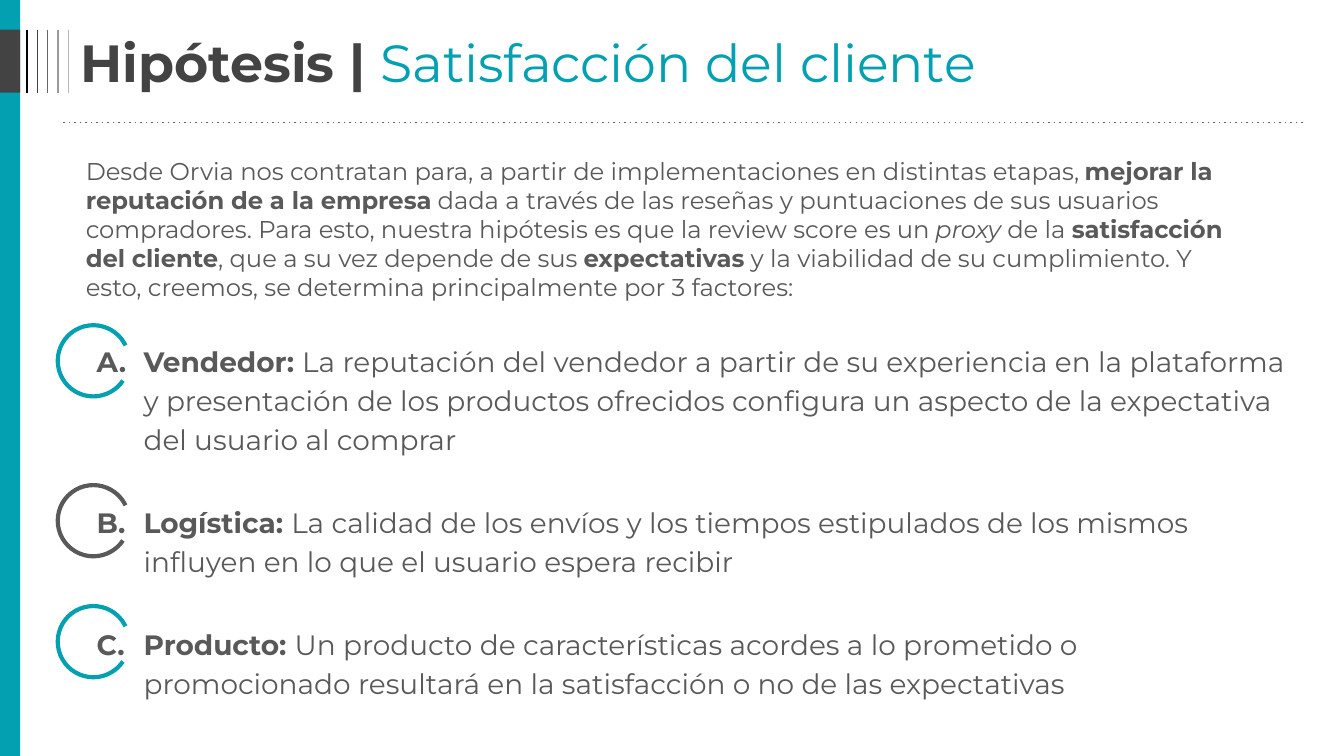
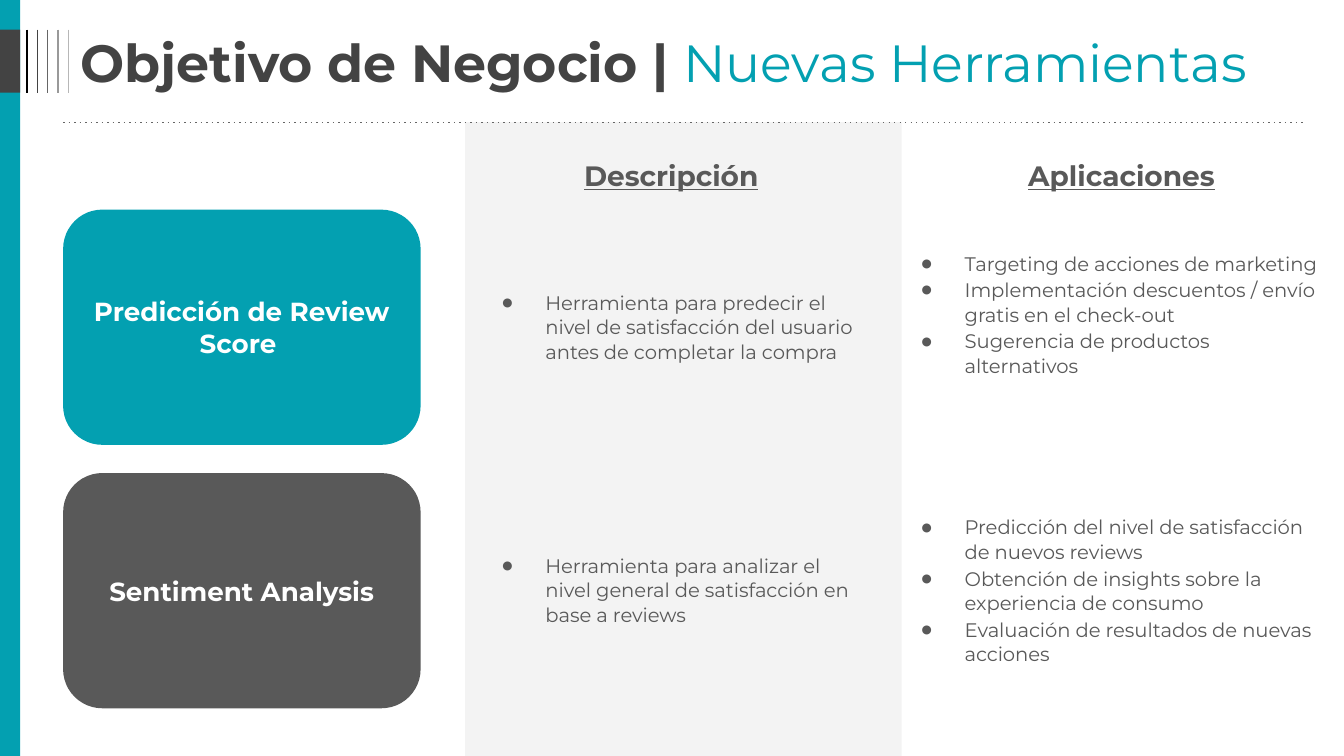
from lxml.etree import SubElement
from pptx import Presentation
from pptx.dml.color import RGBColor
from pptx.enum.shapes import MSO_CONNECTOR, MSO_SHAPE as Shape
from pptx.enum.text import MSO_ANCHOR as Anchor, MSO_AUTO_SIZE as AutoSize, PP_ALIGN as Align
from pptx.oxml.ns import qn
from pptx.util import Inches, Pt

COLORS = {
    "teal": "03A0B1", "ink": "434343", "text": "595959", "rule": "666666",
    "panel": "F3F3F3", "white": "FFFFFF",
}
STRIPES = ["000000", "434343", "666666", "999999", "B7B7B7"]
FONT = "Montserrat"
SLIDE_W = 10
SLIDE_H = SLIDE_W * 9 / 16
LEFT, CONTENT_W = 0.47, 9.24
BAND_TOP, BAND_H = 0.22, 0.47
RULE_Y = 0.91


def rgb(color):
    return RGBColor.from_string(COLORS.get(color, color))


class Deck:
    def __init__(self):
        self.prs = Presentation()
        self.prs.slide_width, self.prs.slide_height = Inches(SLIDE_W), Inches(SLIDE_H)
        self.slide = None

    def start_slide(self, topic, detail):
        self.slide = self.prs.slides.add_slide(self.prs.slide_layouts[5])
        title = self.slide.shapes.title
        title.left, title.top = Inches(LEFT), Inches(BAND_TOP)
        title.width, title.height = Inches(CONTENT_W), Inches(BAND_H)
        frame = self.set_frame(title, Anchor.MIDDLE, (0.13, 0.05, 0.1, 0.05))
        frame.paragraphs[0].alignment = Align.LEFT
        self.runs(frame.paragraphs[0], [(f"{topic} | ", "b")], 28, "ink")
        self.runs(frame.paragraphs[0], [(detail, "")], 28, "teal")

    def header(self):
        """Side bar, barcode stripes and dotted rule shared by every slide."""
        self.block(Shape.RECTANGLE, -0.01, 0, 0.16, SLIDE_H, "teal")
        for i, color in enumerate(STRIPES):
            x = 0.2 + i * 0.31 / 4
            self.line(x, BAND_TOP, x, BAND_TOP + BAND_H, color)
        self.line(LEFT, RULE_Y, LEFT + CONTENT_W, RULE_Y, "rule", "dot")
        self.block(Shape.RECTANGLE, -0.01, BAND_TOP, 0.16, BAND_H, "ink")

    def line(self, x1, y1, x2, y2, color, dash=None):
        rule = self.slide.shapes.add_connector(
            MSO_CONNECTOR.STRAIGHT, Inches(x1), Inches(y1), Inches(x2), Inches(y2))
        rule.line.color.rgb, rule.line.width = rgb(color), Pt(0.75)
        props = rule.element.spPr
        if dash:
            SubElement(props.find(qn("a:ln")), qn("a:prstDash"), val=dash)
        SubElement(props, qn("a:effectLst"))

    def block(self, kind, x, y, w, h, fill):
        block = self.slide.shapes.add_shape(kind, Inches(x), Inches(y), Inches(w), Inches(h))
        block.shadow.inherit = False
        block.fill.solid()
        block.fill.fore_color.rgb = rgb(fill)
        block.line.fill.background()
        return block

    def ring(self, x, y, size, color):
        ring = self.slide.shapes.add_shape(
            Shape.ARC, Inches(x), Inches(y), Inches(size), Inches(size))
        ring.shadow.inherit = False
        ring.fill.background()
        ring.line.color.rgb, ring.line.width = rgb(color), Pt(2.25)
        ring.adjustments[0], ring.adjustments[1] = 20.28, 200.69

    def card(self, x, y, w, h, fill, label):
        card = self.block(Shape.ROUNDED_RECTANGLE, x, y, w, h, fill)
        paragraph = self.set_frame(card, Anchor.MIDDLE).paragraphs[0]
        paragraph.alignment = Align.CENTER
        self.runs(paragraph, [(label, "b")], 14, "white")

    def text(self, x, y, w, h, runs, size, align=Align.LEFT):
        paragraph = self.text_frame(x, y, w, h).paragraphs[0]
        paragraph.alignment = align
        self.runs(paragraph, runs, size)

    def items(self, x, y, w, h, entries, size, bullet, hang, spacing, before, anchor=Anchor.TOP):
        """A list; bullet is the tag, attributes and relative size of its marker."""
        frame = self.text_frame(x, y, w, h, anchor)
        tag, attributes, percent = bullet
        for i, runs in enumerate(entries):
            paragraph = frame.add_paragraph() if i else frame.paragraphs[0]
            paragraph.line_spacing = spacing
            paragraph.space_before = Pt(before if i else 0)
            props = paragraph._p.get_or_add_pPr()
            props.set("marL", str(Inches(0.5)))
            props.set("indent", str(-Inches(hang)))
            SubElement(SubElement(props, qn("a:buClr")), qn("a:srgbClr"), val=COLORS["text"])
            SubElement(props, qn("a:buSzPct"), val=str(percent * 1000))
            SubElement(props, qn("a:buFont"), typeface=FONT)
            SubElement(props, qn(tag), **attributes)
            self.runs(paragraph, runs, size)

    def text_frame(self, x, y, w, h, anchor=Anchor.TOP):
        box = self.slide.shapes.add_textbox(Inches(x), Inches(y), Inches(w), Inches(h))
        return self.set_frame(box, anchor)

    @staticmethod
    def set_frame(holder, anchor, insets=(0.1, 0.1, 0.1, 0.1)):
        frame = holder.text_frame
        frame.word_wrap, frame.auto_size = True, AutoSize.NONE
        frame.vertical_anchor = anchor
        (frame.margin_left, frame.margin_top,
         frame.margin_right, frame.margin_bottom) = map(Inches, insets)
        return frame

    @staticmethod
    def runs(paragraph, runs, size, color="text"):
        """Add (text, style) runs; style holds any of the letters b, i, u."""
        for words, style in runs:
            run = paragraph.add_run()
            run.text = words
            font = run.font
            font.name, font.size, font.color.rgb = FONT, Pt(size), rgb(color)
            font.bold, font.italic, font.underline = (mark in style for mark in "biu")


def hypothesis_slide(deck):
    deck.start_slide("Hipótesis", "Satisfacción del cliente")
    deck.header()
    factors = [
        ("Vendedor: ", "La reputación del vendedor a partir de su experiencia en la plataforma "
         "y presentación de los productos ofrecidos configura un aspecto de la expectativa "
         "del usuario al comprar"),
        ("Logística: ", "La calidad de los envíos y los tiempos estipulados de los mismos "
         "influyen en lo que el usuario espera recibir"),
        ("Producto: ", "Un producto de características acordes a lo prometido o "
         "promocionado resultará en la satisfacción o no de las expectativas"),
    ]
    deck.items(LEFT, 2.43, CONTENT_W, 3.1,
               [[(name, "b"), (reason, "")] for name, reason in factors],
               15, ("a:buAutoNum", {"type": "alphaUcPeriod"}, 100), 0.35, 1.15, 24)
    for y, color in [(2.42, "teal"), (3.61, "text"), (4.51, "teal")]:
        deck.ring(0.43, y, 0.53, color)
    deck.text(0.54, 1.06, 8.82, 1.3, [
        ("Desde Orvia nos contratan para, a partir de implementaciones en distintas etapas, ", ""),
        ("mejorar la reputación de a la empresa", "b"),
        (" dada a través de las reseñas y puntuaciones de sus usuarios compradores. "
         "Para esto, nuestra hipótesis es que la review score es un ", ""),
        ("proxy", "i"),
        (" de la ", ""),
        ("satisfacción del cliente", "b"),
        (", que a su vez depende de sus ", ""),
        ("expectativas", "b"),
        (" y la viabilidad de su cumplimiento. Y esto, creemos, se determina "
         "principalmente por 3 factores:", ""),
    ], 13)


def tools_slide(deck):
    deck.start_slide("Objetivo de Negocio", "Nuevas Herramientas")
    deck.block(Shape.RECTANGLE, 3.46, RULE_Y, 3.25, SLIDE_H - RULE_Y, "panel")
    deck.header()
    for x, heading in [(4.12, "Descripción"), (7.47, "Aplicaciones")]:
        deck.text(x, 1.08, 1.75, 0.45, [(heading, "bu")], 15, Align.CENTER)
    tools = [
        (1.56, "teal", "Predicción de Review Score ",
         (1.83, 1.2, ["Herramienta para predecir el nivel de satisfacción del usuario "
                      "antes de completar la compra"]),
         (1.89, 0.89, ["Targeting de acciones de marketing",
                       "Implementación descuentos / envío gratis en el check-out",
                       "Sugerencia de productos alternativos"])),
        (3.52, "text", "Sentiment Analysis",
         (3.82, 1.13, ["Herramienta para analizar el nivel general de satisfacción en "
                       "base a reviews"]),
         (3.95, 0.88, ["Predicción del nivel de satisfacción de nuevos reviews",
                       "Obtención de insights sobre la experiencia de consumo",
                       "Evaluación de resultados de nuevas acciones"])),
    ]
    for card_y, fill, tool, description, uses in tools:
        deck.card(LEFT, card_y, 2.66, 1.75, fill, tool)
        for x, w, (y, h, points) in [(3.46, 3.09, description), (6.58, 3.36, uses)]:
            deck.items(x, y, w, h, [[(point, "")] for point in points], 10.5,
                       ("a:buChar", {"char": "●"}, 60), 0.32, 1.05, 1, Anchor.MIDDLE)


def main():
    deck = Deck()
    hypothesis_slide(deck)
    tools_slide(deck)
    deck.prs.save("out.pptx")


if __name__ == "__main__":
    main()
